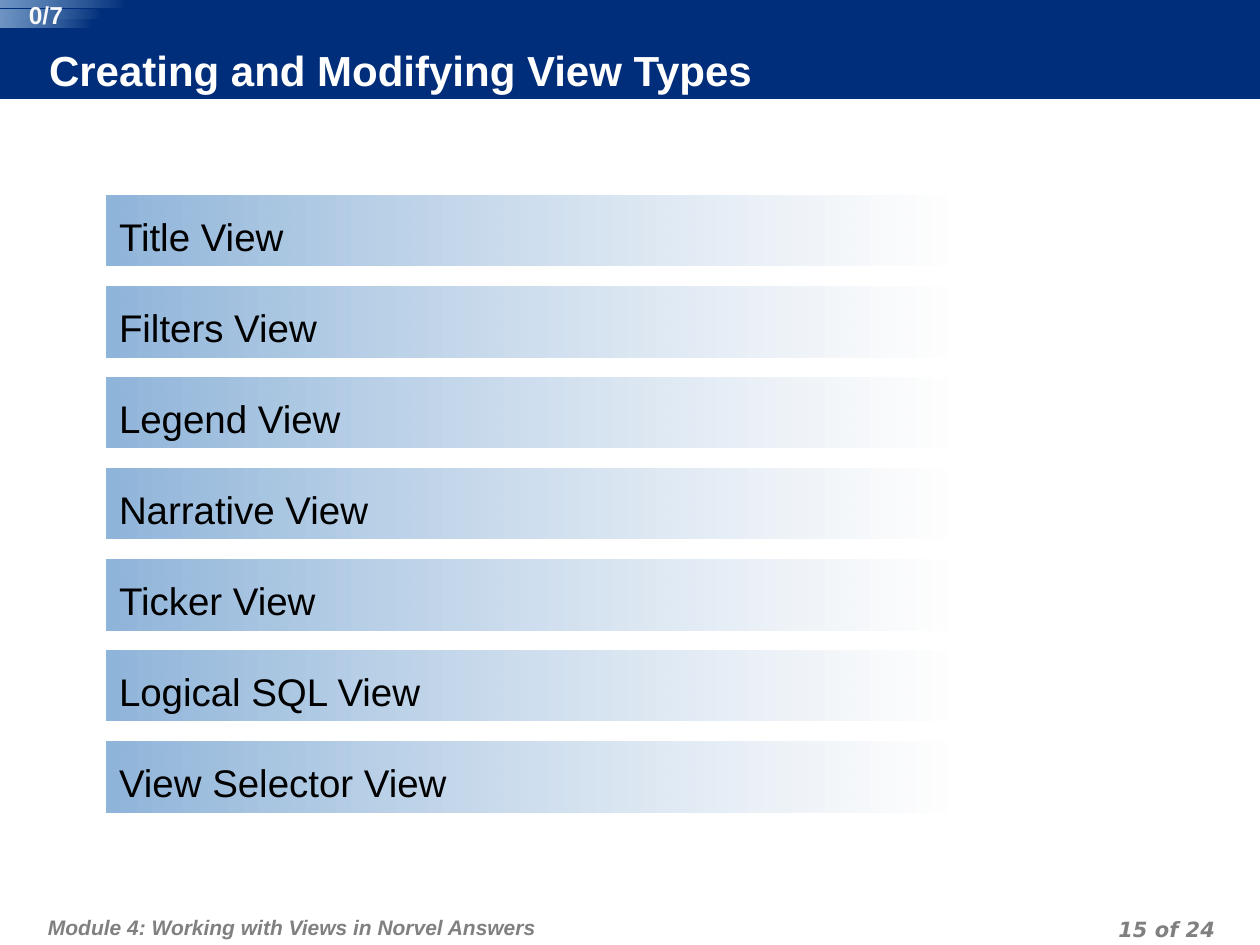
"""Build the slide that lists the view types."""
from dataclasses import dataclass

from lxml.etree import SubElement
from pptx import Presentation
from pptx.dml.color import RGBColor as RGB
from pptx.enum.shapes import MSO_SHAPE as Shape
from pptx.enum.text import MSO_ANCHOR as Anchor, PP_ALIGN as Align
from pptx.oxml.ns import qn
from pptx.util import Pt

TITLE = "Creating and Modifying View Types"
VIEWS = ["Title View", "Filters View", "Legend View", "Narrative View",
         "Ticker View", "Logical SQL View", "View Selector View"]
COUNT = "0/7"
MODULE = "Module 4: Working with Views in Norvel Answers"
PAGE = "15 of 24"
STRIPS = [127, 103, 92]

SCALE = 914400 / 126
WIDTH, HEIGHT = 1260, 945
BAR_TOP, BAR_STEP = 196, 91


@dataclass(frozen=True)
class Theme:
    navy: str = "002E7A"
    blue: str = "90B5DA"
    pale: str = "FEFEFE"
    white: str = "FFFFFF"
    light: str = "F8F8F8"
    gray: str = "808080"
    black: str = "000000"
    face: str = "Arial"
    page_face: str = "DejaVu Sans"
    title: int = 24
    view: int = 22
    count: int = 14
    foot: int = 12


THEME = Theme()


def emu(px):
    return round(px * SCALE)


def place(box):
    return [emu(px) for px in box]


def write(shape, text, size, color, pads=(0, 0, 0, 0), face=THEME.face,
          bold=True, italic=False, align=Align.LEFT, anchor=Anchor.TOP, line=None):
    frame = shape.text_frame
    frame.word_wrap = True
    frame.vertical_anchor = anchor
    (frame.margin_left, frame.margin_top,
     frame.margin_right, frame.margin_bottom) = place(pads)
    para = frame.paragraphs[0]
    para.text = text
    para.alignment = align
    if line:
        para.line_spacing = Pt(line)
    font = para.font
    font.name, font.size = face, Pt(size)
    font.bold, font.italic = bold, italic
    font.color.rgb = RGB.from_string(color)


def add_text(slide, box, *args, **style):
    write(slide.shapes.add_textbox(*place(box)), *args, **style)


def add_band(slide, box, *stops):
    band = slide.shapes.add_shape(Shape.ROUNDED_RECTANGLE, *place(box))
    band.adjustments[0] = 0
    band.shadow.inherit = False
    band.line.fill.background()
    band.fill.gradient()
    band.fill.gradient_angle = 180
    marks = band.fill._fill._gradFill.findall(".//" + qn("a:gs"))
    for stop, mark, (color, alpha) in zip(band.fill.gradient_stops, marks, stops):
        stop.color.rgb = RGB.from_string(color)
        if alpha < 100:
            SubElement(mark[0], qn("a:alpha"), val=str(alpha * 1000))
    return band


def add_head(slide):
    head = slide.shapes.add_shape(Shape.RECTANGLE, *place((0, 0, WIDTH, 99)))
    head.shadow.inherit = False
    head.line.fill.background()
    head.fill.solid()
    head.fill.fore_color.rgb = RGB.from_string(THEME.navy)
    add_text(slide, (49, 48, 992, 50), TITLE, THEME.title, THEME.white,
             pads=(0, 0, 6, 6), anchor=Anchor.MIDDLE)
    for i, width in enumerate(STRIPS):
        add_band(slide, (0, 10 * i, width, 8), (THEME.navy, 100), (THEME.blue, 76))
    add_text(slide, (14, 0, 64, 29), COUNT, THEME.count, THEME.light,
             align=Align.CENTER)


def add_views(slide):
    for i, view in enumerate(VIEWS):
        bar = add_band(slide, (106, BAR_TOP + BAR_STEP * i, 840, 70),
                       (THEME.pale, 75), (THEME.blue, 100))
        write(bar, view, THEME.view, THEME.black, pads=(13, 17, 13, 6), bold=False)


def add_foot(slide):
    style = dict(italic=True, line=18)
    add_text(slide, (42, 895, 779, 50), MODULE, THEME.foot, THEME.gray,
             pads=(6, 13, 6, 6), **style)
    add_text(slide, (927, 910, 294, 32), PAGE, THEME.foot, THEME.gray,
             pads=(6, 0, 6, 0), face=THEME.page_face, align=Align.RIGHT, **style)


def main():
    deck = Presentation()
    deck.slide_width, deck.slide_height = emu(WIDTH), emu(HEIGHT)
    slide = deck.slides.add_slide(deck.slide_layouts[6])
    add_head(slide)
    add_views(slide)
    add_foot(slide)
    deck.save("out.pptx")


if __name__ == "__main__":
    main()
